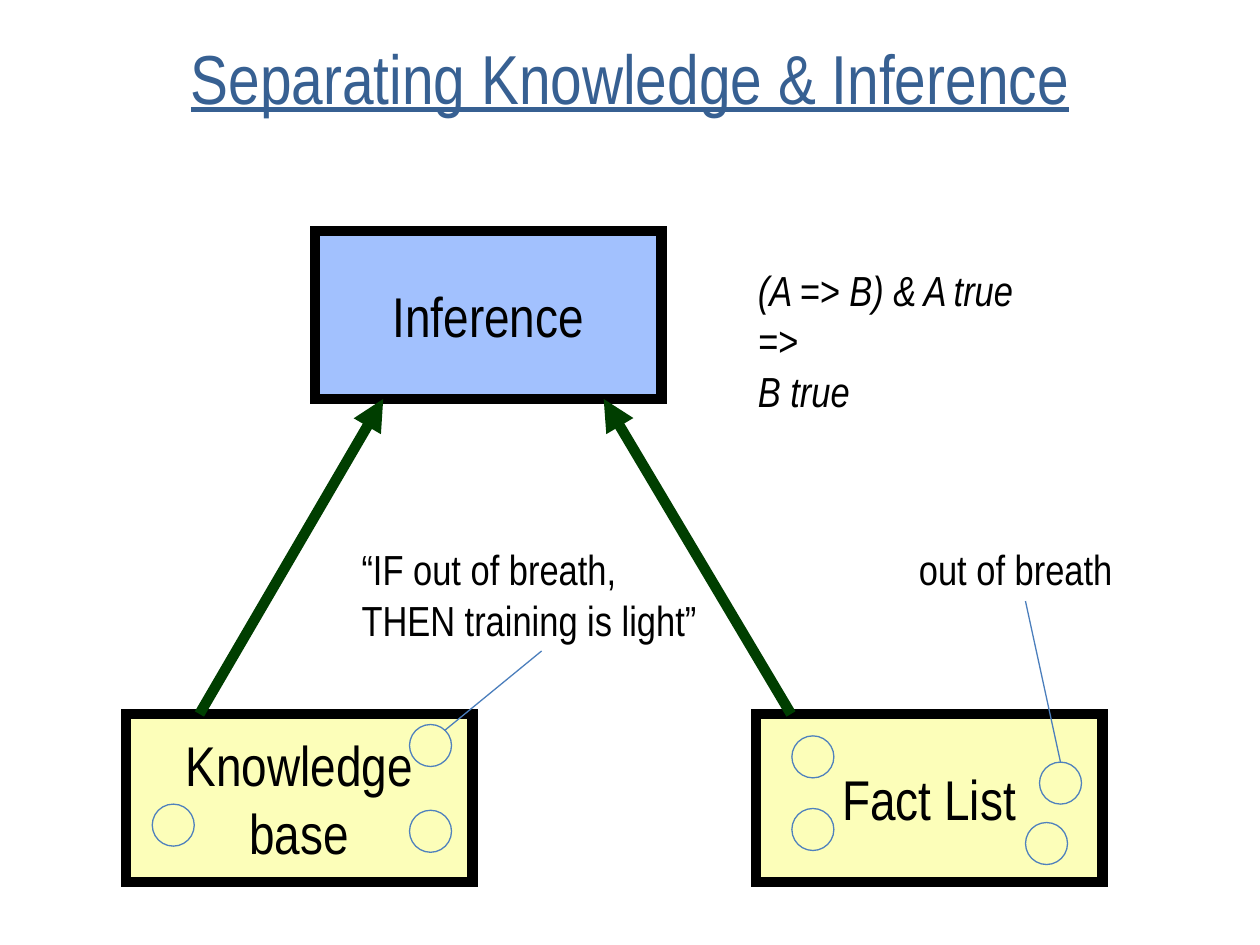
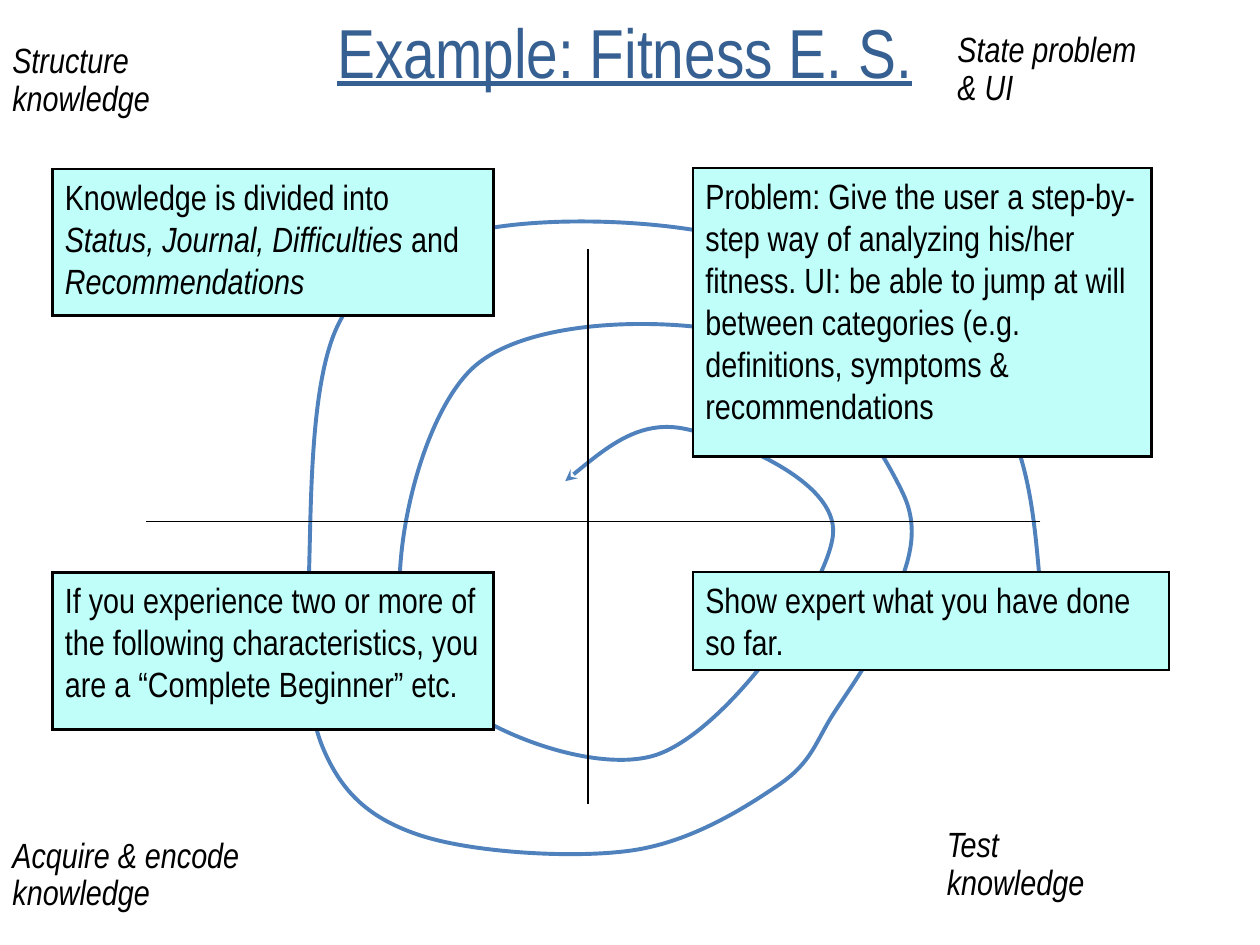
from lxml.etree import SubElement
from pptx import Presentation
from pptx.dml.color import RGBColor
from pptx.enum.shapes import MSO_CONNECTOR, MSO_SHAPE
from pptx.enum.text import MSO_ANCHOR, MSO_AUTO_SIZE, PP_ALIGN
from pptx.oxml.ns import qn
from pptx.util import Pt

COLORS = {
    "title": "376092", "ink": "000000", "arrow": "003E00", "accent": "4F81BD",
    "callout": "4B7EBC", "store": "FCFEB9", "engine": "A2C1FE", "note": "C0FEF9",
}
FONT = "Arial Narrow"
TITLE_FONT = {"size": Pt(39.6), "underline": True}
BLOCK_FRAME = {"word_wrap": False, "vertical_anchor": MSO_ANCHOR.MIDDLE}
NOTE_FRAME = {"word_wrap": True, "vertical_anchor": MSO_ANCHOR.TOP, "margin_bottom": Pt(0)}
LABEL_FRAME = {"word_wrap": True, "auto_size": MSO_AUTO_SIZE.SHAPE_TO_FIT_TEXT}
CENTERED = {"alignment": PP_ALIGN.CENTER}
LEFT = {"alignment": PP_ALIGN.LEFT}
TIGHT = {"line_spacing": 0.45, "space_before": Pt(10.5)}
SPIRAL = [
    (594, 330.5), (560, 217), (433, 139.5), (276.5, 131), (193.5, 185),
    (176.5, 330), (185, 428.5), (240.5, 477.5), (361, 486), (445, 448.5),
    (476.5, 407.5), (507.5, 352), (516, 282), (431.5, 193), (270.5, 210),
    (234.5, 373), (373, 432), (476, 305.5), (391, 245), (323, 275),
]


def rgb(name):
    """Return a palette colour."""
    return RGBColor.from_string(COLORS[name])


def apply(target, values):
    """Set every attribute in a dict of format values."""
    for name, value in values.items():
        setattr(target, name, value)


def write(frame, lines, font, color="ink", frame_format={}, para_format={}):
    """Write paragraphs, each a string or a list of (text, italic) spans."""
    apply(frame, frame_format)
    for index, line in enumerate(lines):
        para = frame.add_paragraph() if index else frame.paragraphs[0]
        apply(para, para_format)
        spans = [(line, font.get("italic"))] if isinstance(line, str) else line
        for text, italic in spans:
            span = para.add_run()
            span.text = text
            apply(span.font, {"name": FONT, **font, "italic": italic})
            span.font.color.rgb = rgb(color)


def set_line(shape, color, width, head=None):
    """Set the outline and an optional arrowhead at its end."""
    shape.line.color.rgb = rgb(color)
    shape.line.width = Pt(width)
    if head:
        SubElement(shape.line._get_or_add_ln(), qn("a:tailEnd"), type=head)


def add_titled_page(deck, text, bounds):
    """Add a title-only page with its styled title."""
    page = deck.slides.add_slide(deck.slide_layouts[5])
    title = page.shapes.title
    apply(title, dict(zip(("left", "top", "width", "height"), map(Pt, bounds))))
    frame_format = {"vertical_anchor": MSO_ANCHOR.MIDDLE, "auto_size": MSO_AUTO_SIZE.NONE}
    write(title.text_frame, [text], TITLE_FONT, "title", frame_format, CENTERED)
    return page


def add_box(page, bounds, fill, width, lines, size, frame_format, para_format):
    """Add a filled rectangle with sharp corners and text."""
    box = page.shapes.add_shape(MSO_SHAPE.RECTANGLE, *map(Pt, bounds))
    box.shadow.inherit = False
    box.fill.solid()
    box.fill.fore_color.rgb = rgb(fill)
    set_line(box, "ink", width)
    SubElement(box.line._get_or_add_ln(), qn("a:miter"), lim="800000")
    write(box.text_frame, lines, {"size": Pt(size)}, "ink", frame_format, para_format)


def add_label(page, bounds, lines, size, italic=False, para_format={}):
    """Add a text box that grows with its text."""
    box = page.shapes.add_textbox(*map(Pt, bounds))
    font = {"size": Pt(size), "italic": italic}
    write(box.text_frame, lines, font, "ink", LABEL_FRAME, para_format)


def add_line(page, ends, color, width, head=None):
    """Add a straight connector without shadow."""
    line = page.shapes.add_connector(MSO_CONNECTOR.STRAIGHT, *map(Pt, ends))
    set_line(line, color, width, head)
    SubElement(line.element.spPr, qn("a:effectLst"))


def add_circle(page, left, top):
    """Add a small hollow circle that stands for one stored item."""
    circle = page.shapes.add_shape(MSO_SHAPE.OVAL, Pt(left), Pt(top), Pt(24), Pt(24))
    circle.shadow.inherit = False
    circle.fill.background()
    set_line(circle, "accent", 0.75)


def blend(point, other, weight):
    """Move a point towards another by a share of their distance."""
    return tuple(a + (b - a) * weight for a, b in zip(point, other))


def spline_controls(points):
    """Return control and end points of a smooth curve through the points."""
    arrive, leave = {}, {}
    for index in range(1, len(points) - 1):
        before, point, after = points[index - 1:index + 2]
        step = [(b - a) / 6 for a, b in zip(before, after)]
        arrive[index] = tuple(p - s for p, s in zip(point, step))
        leave[index] = tuple(p + s for p, s in zip(point, step))
    last = len(points) - 1
    leave[0] = blend(points[0], arrive[1], 0.5)
    arrive[last] = blend(points[last], leave[last - 1], 0.5)
    return [p for i in range(last) for p in (leave[i], arrive[i + 1], points[i + 1])]


def add_curve(page, points, color, width, head):
    """Add an open smooth curve with an arrowhead."""
    start = map(Pt, points[0])
    builder = page.shapes.build_freeform(*start)
    builder.add_line_segments([tuple(map(Pt, p)) for p in spline_controls(points)], close=False)
    curve = builder.convert_to_shape()
    curve.shadow.inherit = False
    curve.fill.background()
    set_line(curve, color, width, head)
    outline = next(curve.element.iter(qn("a:path")))
    segments = outline.findall(qn("a:lnTo"))
    for index in range(0, len(segments), 3):
        bezier = SubElement(outline, qn("a:cubicBezTo"))
        for segment in segments[index:index + 3]:
            bezier.append(segment[0])
            outline.remove(segment)


def build_architecture(deck):
    """Build the page on knowledge apart from inference."""
    page = add_titled_page(deck, "Separating Knowledge & Inference", (36, 21.6, 648, 44.6))
    for left, top, fill, lines in (
        (72, 408, "store", ["Knowledge", "base"]),
        (180, 132, "engine", ["Inference"]),
        (432, 408, "store", ["Fact List"]),
    ):
        add_box(page, (left, top, 198, 96), fill, 6, lines, 32, BLOCK_FRAME, CENTERED)
    for start, end in ((114, 219), (452, 345)):
        add_line(page, (start, 408, end, 228), "arrow", 6, "triangle")
    add_label(page, (199.5, 307.3, 220, 65.5),
              ["“IF out of breath,", "THEN training is light”"], 24)
    add_label(page, (426, 147.5, 192, 94.5), ["(A => B) & A true", "=>", "B true"], 24, True)
    add_label(page, (518, 307, 137, 36), ["out of breath"], 24)
    for ends in ((309.5, 372, 254, 417.5), (586, 343.5, 606, 435.5)):
        add_line(page, ends, "callout", 0.75)
    for left, top in ((234, 463), (87, 459.5), (234, 414), (594, 435.5),
                      (586, 470), (452.5, 420.5), (452.5, 462)):
        add_circle(page, left, top)


def build_example(deck):
    """Build the page on the spiral of the fitness system."""
    page = add_titled_page(deck, "Example: Fitness E. S.", (0, 5.8, 714, 46.8))
    add_curve(page, SPIRAL, "accent", 2.25, "stealth")
    for ends in ((336, 142.5, 336, 459.5), (594.5, 298, 83.5, 298)):
        add_line(page, ends, "ink", 1)
    for bounds, lines in (
        ((540, 23.8, 173.5, 41), ["State problem", "& UI"]),
        ((0, 30, 180, 41), ["Structure", "knowledge"]),
        ((0, 484, 281.5, 42), ["Acquire & encode", "knowledge"]),
        ((534, 478, 101.5, 41), ["Test", "knowledge"]),
    ):
        add_label(page, bounds, lines, 20, True, TIGHT)
    categories = [("Knowledge is divided into ", False), ("Status, Journal, Difficulties ", True),
                  ("and ", False), ("Recommendations", True)]
    for bounds, line in (
        ((396, 96, 262, 165), "Problem: Give the user a step-by-step way of analyzing his/her "
         "fitness. UI: be able to jump at will between categories (e.g. definitions, "
         "symptoms & recommendations"),
        ((30, 96.5, 252, 84), categories),
        ((30, 327, 252, 90), "If you experience two or more of the following characteristics, "
         "you are a “Complete Beginner” etc."),
        ((396, 326.8, 272, 56), "Show expert what you have done so far."),
    ):
        add_box(page, bounds, "note", 1.5, [line], 20, NOTE_FRAME, LEFT)


def main():
    """Build and save the deck."""
    deck = Presentation()
    apply(deck, {"slide_width": Pt(720), "slide_height": Pt(540)})
    build_architecture(deck)
    build_example(deck)
    deck.save("out.pptx")


main()
